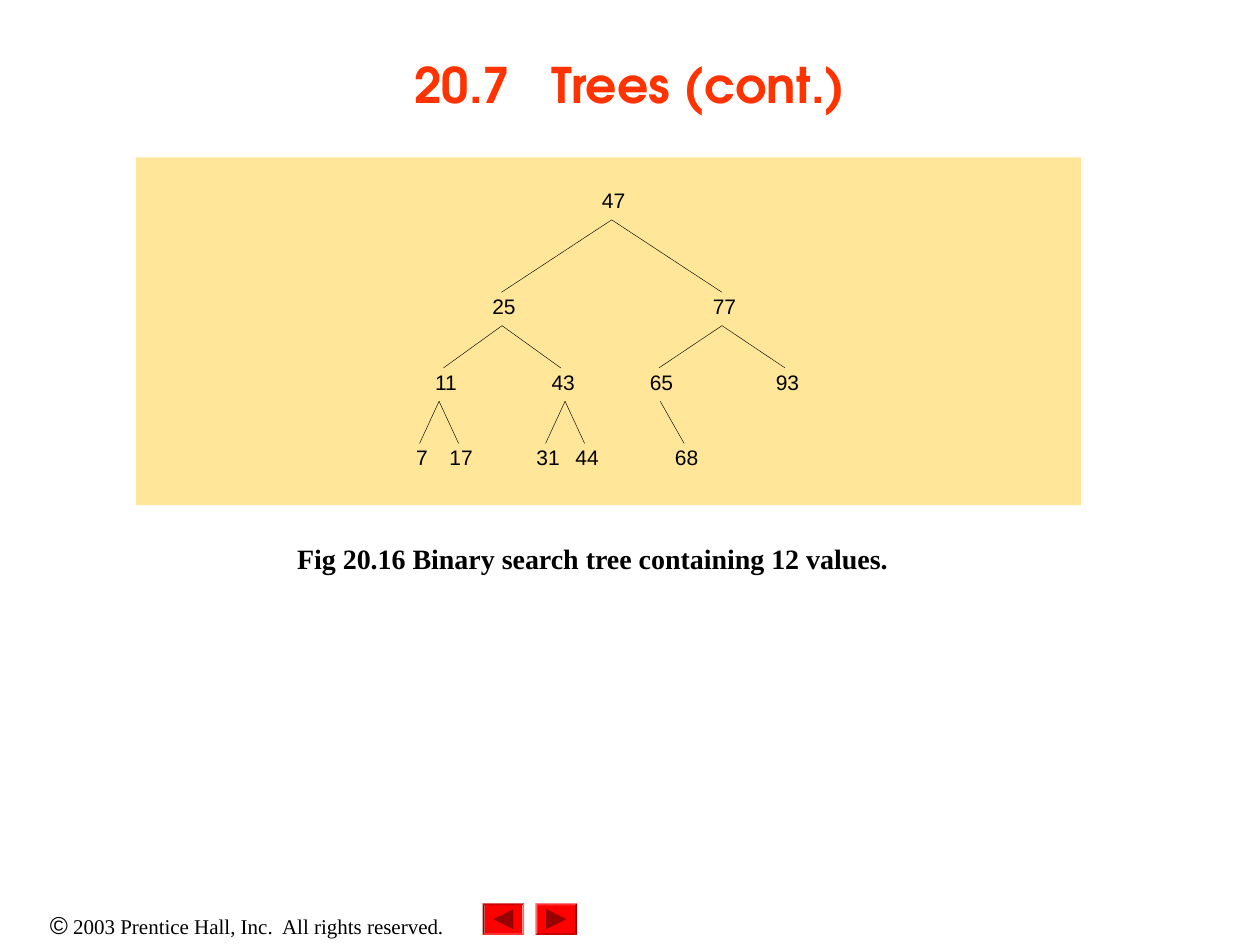
from pptx import Presentation, util as u
from pptx.dml.color import RGBColor
from pptx.enum import shapes, text
from lxml import etree
from pptx.oxml.ns import qn

# Grid of 100 columns by 75 rows on a 10 x 7.5 inch slide
COLS, ROWS = 100, 75
W, H = u.Inches(10), u.Inches(7.5)
COLORS = {"title": "FF3300", "text": "000000", "panel": "FFE699",
          "button": "FF0000", "arrow": "990000"}
SANS, SERIF, DISPLAY = "Arial", "Times New Roman", "TeX Gyre Adventor"

# Tree: top row of each level, then value: (level, centre column, children)
LEVEL_ROWS = (15.3, 23.7, 29.7, 35.7)
NODE = 2.1
TREE = {
    47: (0, 48.7, (25, 77)),
    25: (1, 40, (11, 43)), 77: (1, 57.5, (65, 93)),
    11: (2, 35.4, (7, 17)), 43: (2, 44.7, (31, 44)),
    65: (2, 52.5, (68,)), 93: (2, 62.5, ()),
    7: (3, 33.5, ()), 17: (3, 36.6, ()), 31: (3, 43.5, ()),
    44: (3, 46.6, ()), 68: (3, 54.5, ()),
}


def x(col):
    return u.Emu(round(W * col / COLS))


def y(row):
    return u.Emu(round(H * row / ROWS))


def rgb(name):
    return RGBColor.from_string(COLORS[name])


def add_text(s, box, runs, bold=False, color="text", align="CENTER",
             anchor="TOP", inset=True, wrap=True, spacing=None):
    """Add one paragraph; runs is a list of (words, font, size)."""
    col, row, width, height = box
    tf = s.shapes.add_textbox(x(col), y(row), x(width), y(height)).text_frame
    tf.word_wrap = wrap
    tf.vertical_anchor = getattr(text.MSO_ANCHOR, anchor)
    if not inset:
        tf.margin_left = tf.margin_right = tf.margin_top = tf.margin_bottom = 0
    p = tf.paragraphs[0]
    p.alignment = getattr(text.PP_ALIGN, align)
    if spacing:
        p.line_spacing = spacing
    for words, font, size in runs:
        r = p.add_run()
        r.text = words
        r.font.name, r.font.size, r.font.bold = font, u.Pt(size), bold
        r.font.color.rgb = rgb(color)


def add_shape(s, kind, box, color, rotation=0):
    col, row, width, height = box
    sp = s.shapes.add_shape(kind, x(col), y(row), x(width), y(height))
    sp.shadow.inherit = False
    sp.fill.solid()
    sp.fill.fore_color.rgb = rgb(color)
    sp.line.fill.background()
    sp.rotation = rotation
    return sp


def add_edge(s, start, end):
    ln = s.shapes.add_connector(shapes.MSO_CONNECTOR.STRAIGHT,
                                x(start[0]), y(start[1]), x(end[0]), y(end[1]))
    ln.line.color.rgb = rgb("text")
    ln.line.width = u.Pt(0.25)
    etree.SubElement(ln._element.spPr, qn("a:effectLst"))


def add_button(s, col, turn):
    """Bevelled button; a half turn makes the arrow point left."""
    row, width, height, arrow = 71.7, 3.3, 2.5, 1.6
    bevel = add_shape(s, shapes.MSO_SHAPE.BEVEL, (col, row, width, height),
                      "button", turn)
    bevel.adjustments[0] = 0.06
    box = (col + (width - arrow) / 2, row + (height - arrow) / 2, arrow, arrow)
    add_shape(s, shapes.MSO_SHAPE.ISOSCELES_TRIANGLE, box, "arrow", 90 + turn)


def add_tree(s):
    for value, (level, centre, children) in TREE.items():
        top = LEVEL_ROWS[level]
        add_text(s, (centre - NODE / 2, top, NODE, NODE),
                 [(str(value), SANS, 12)], inset=False, spacing=0.8)
        # Edges leave midway between two children, or below the node itself
        ends = [TREE[child][1] - 0.2 for child in children]
        origin = sum(ends) / 2 if len(ends) == 2 else centre - 0.1
        for child, end in zip(children, ends):
            add_edge(s, (origin, top + 2.15),
                     (end, LEVEL_ROWS[TREE[child][0]] - 0.5))


def main():
    prs = Presentation()
    prs.slide_width, prs.slide_height = W, H
    s = prs.slides.add_slide(prs.slide_layouts[6])

    # Footer and navigation buttons
    add_text(s, (0, 71.7, 39.2, 3.4),
             [("©", SANS, 14),
              (" 2003 Prentice Hall, Inc.  All rights reserved.", SERIF, 12)])
    add_button(s, 42.5, 0)
    add_button(s, 38.3, 180)

    # Title and caption
    add_text(s, (7.5, 0.8, 85, 11.7), [("20.7   Trees (cont.)", DISPLAY, 28)],
             bold=True, color="title", anchor="MIDDLE")
    add_text(s, (22.6, 42.5, 49, 3.7),
             [("Fig 20.16 Binary search tree containing 12 values.", SERIF, 16)],
             bold=True, align="LEFT", wrap=False)

    # Figure
    add_shape(s, shapes.MSO_SHAPE.RECTANGLE, (10.8, 12.5, 75, 27.6), "panel")
    add_tree(s)
    prs.save("out.pptx")


if __name__ == "__main__":
    main()
